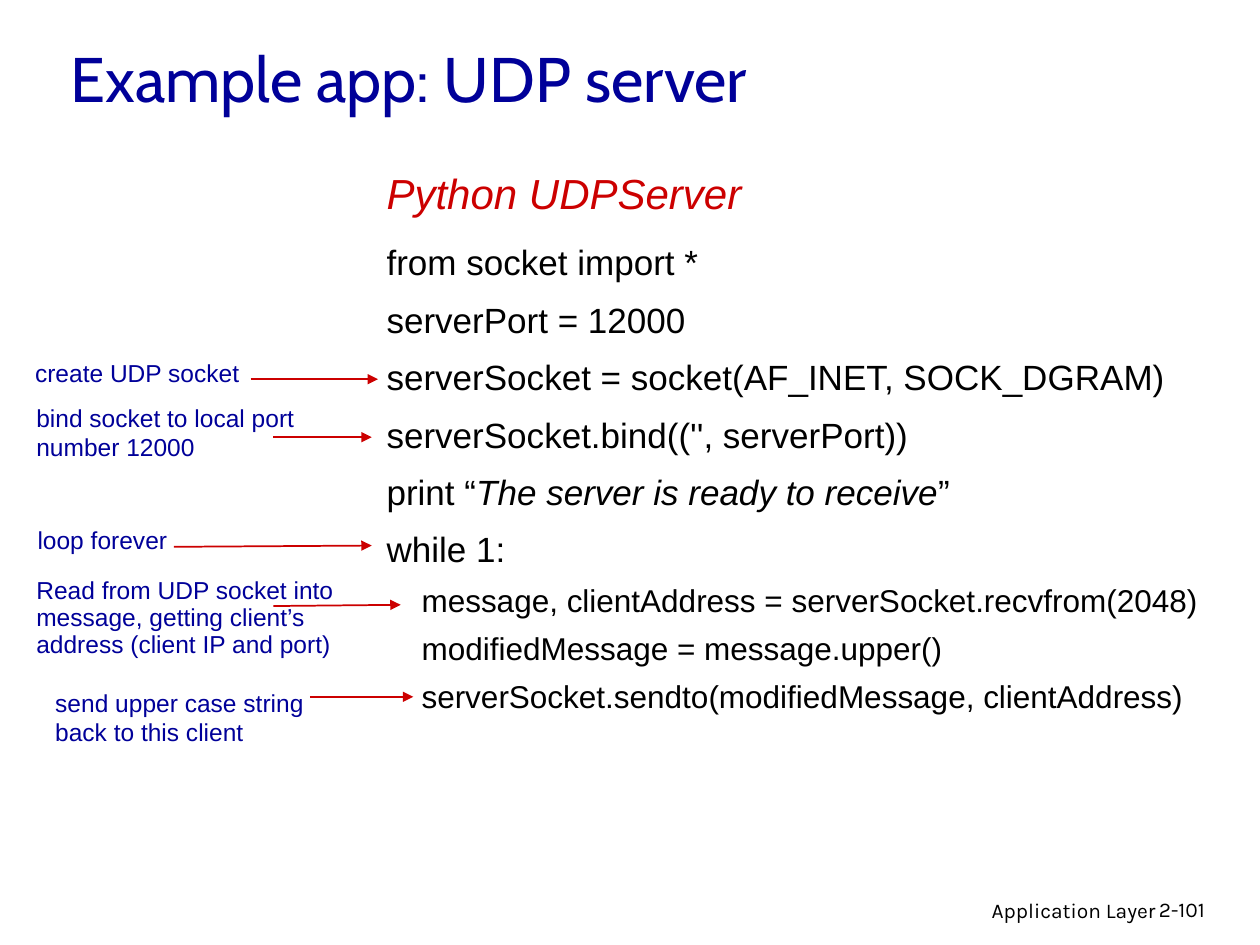
from lxml import etree
from pptx import Presentation
from pptx import util as u
from pptx.dml.color import RGBColor
from pptx.enum import shapes, text
from pptx.oxml.ns import qn

BLACK = RGBColor(0x00, 0x00, 0x00)
NAVY = RGBColor(0x00, 0x00, 0x99)
RED = RGBColor(0xCC, 0x00, 0x00)
COLS, ROWS = 100, 75

CODE = [
    [("from socket import *", False)],
    [("serverPort = 12000", False)],
    [("serverSocket = socket(AF_INET, SOCK_DGRAM)", False)],
    [("serverSocket.bind(('', serverPort))", False)],
    [("print “", False), ("The server is ready to receive", True), ("”", False)],
    [("while 1:", False)],
]
LOOP_BODY = [
    [("    message, clientAddress = serverSocket.recvfrom(2048)", False)],
    [("    modifiedMessage = message.upper()", False)],
    [("    serverSocket.sendto(modifiedMessage, clientAddress)", False)],
]
# note, its box, arrow start, arrow end, line spacing in points
NOTES = [
    ("create UDP socket", (1.8, 27.9, 27.9, 3.4), (19.9, 30.1), (30, 30.1), None),
    ("bind socket to local port number 12000",
     (1.9, 31.5, 24.7, 5.7), (21.7, 34.7), (29.5, 34.7), None),
    ("loop forever", (2, 41.4, 13, 3.1), (13.8, 43.4), (29.5, 43.3), 15.2),
    ("Read from UDP socket into message, getting client’s address (client IP and port)",
     (1.9, 45.4, 25.6, 9.5), (21.7, 48.1), (31.8, 48), 15.2),
    ("send upper case string back to this client",
     (3.4, 54.1, 25.6, 5.7), (24.6, 55.3), (32.8, 55.3), None),
]


class Deck:
    """Style and current slide; lengths are columns and rows of a 100 x 75 grid."""

    def __init__(self):
        self.prs = Presentation()
        self.prs.slide_width, self.prs.slide_height = u.Inches(10), u.Inches(7.5)
        self.s = self.prs.slides.add_slide(self.prs.slide_layouts[5])

    def x(self, cols):
        return round(self.prs.slide_width * cols / COLS)

    def y(self, rows):
        return round(self.prs.slide_height * rows / ROWS)

    def area(self, left, top, width, height):
        return self.x(left), self.y(top), self.x(width), self.y(height)

    def run(self, p, words, size, color, font="Arial", italic=False):
        r = p.add_run()
        r.text = words
        r.font.size, r.font.name, r.font.italic = u.Pt(size), font, italic
        r.font.color.rgb = color

    def title(self, words, box):
        sp = self.s.shapes.title
        sp.left, sp.top, sp.width, sp.height = self.area(*box)
        tf = sp.text_frame
        tf.auto_size = text.MSO_AUTO_SIZE.NONE
        tf.vertical_anchor = text.MSO_ANCHOR.MIDDLE
        p = tf.paragraphs[0]
        p.alignment = text.PP_ALIGN.LEFT
        self.run(p, words, 36, NAVY, "Cabin")

    def text_box(self, box, parent=None):
        tf = (parent or self.s).shapes.add_textbox(*self.area(*box)).text_frame
        tf.word_wrap = True
        return tf

    def footer(self, words, box, align):
        p = self.text_box(box).paragraphs[0]
        p.alignment = align
        self.run(p, words, 12, BLACK, "Karla")

    def heading(self, words, box):
        p = self.text_box(box).paragraphs[0]
        self.run(p, words, 24, RED, italic=True)

    def listing(self, box, blocks):
        """Each block is its lines, text size, line spacing and space before."""
        tf = self.text_box(box)
        p = None
        for lines, size, spacing, before in blocks:
            for line in lines:
                if p is None:
                    p = tf.paragraphs[0]
                else:
                    p = tf.add_paragraph()
                    p.space_before = u.Pt(before)
                p.line_spacing = u.Pt(spacing)
                for words, italic in line:
                    self.run(p, words, size, BLACK, italic=italic)

    def arrow(self, parent, start, end):
        c = parent.shapes.add_connector(
            shapes.MSO_CONNECTOR.STRAIGHT,
            self.x(start[0]), self.y(start[1]), self.x(end[0]), self.y(end[1]))
        c.line.color.rgb = RED
        c.line.width = u.Pt(1)
        ln = c._element.spPr.find(qn("a:ln"))
        etree.SubElement(ln, qn("a:tailEnd"), type="triangle")
        etree.SubElement(c._element.spPr, qn("a:effectLst"))

    def note(self, words, box, start, end, spacing):
        group = self.s.shapes.add_group_shape()
        p = self.text_box(box, group).paragraphs[0]
        if spacing:
            p.line_spacing = u.Pt(spacing)
        self.run(p, words, 14, NAVY)
        self.arrow(group, start, end)


def main():
    deck = Deck()
    deck.footer("Application Layer", (61, 70.7, 31.7, 3.1), text.PP_ALIGN.RIGHT)
    deck.footer("2-101", (91, 70.7, 7.4, 3), text.PP_ALIGN.LEFT)
    deck.title("Example app: UDP server", (4.6, 0.9, 85, 10.4))
    deck.listing((29.7, 18.1, 68, 39.2),
                 [(CODE, 20, 27.8, 5), (LOOP_BODY, 18, 23.2, 4.5)])
    deck.heading("Python UDPServer", (29.7, 12.8, 32, 5))
    for note in NOTES:
        deck.note(*note)
    deck.prs.save("out.pptx")


if __name__ == "__main__":
    main()
